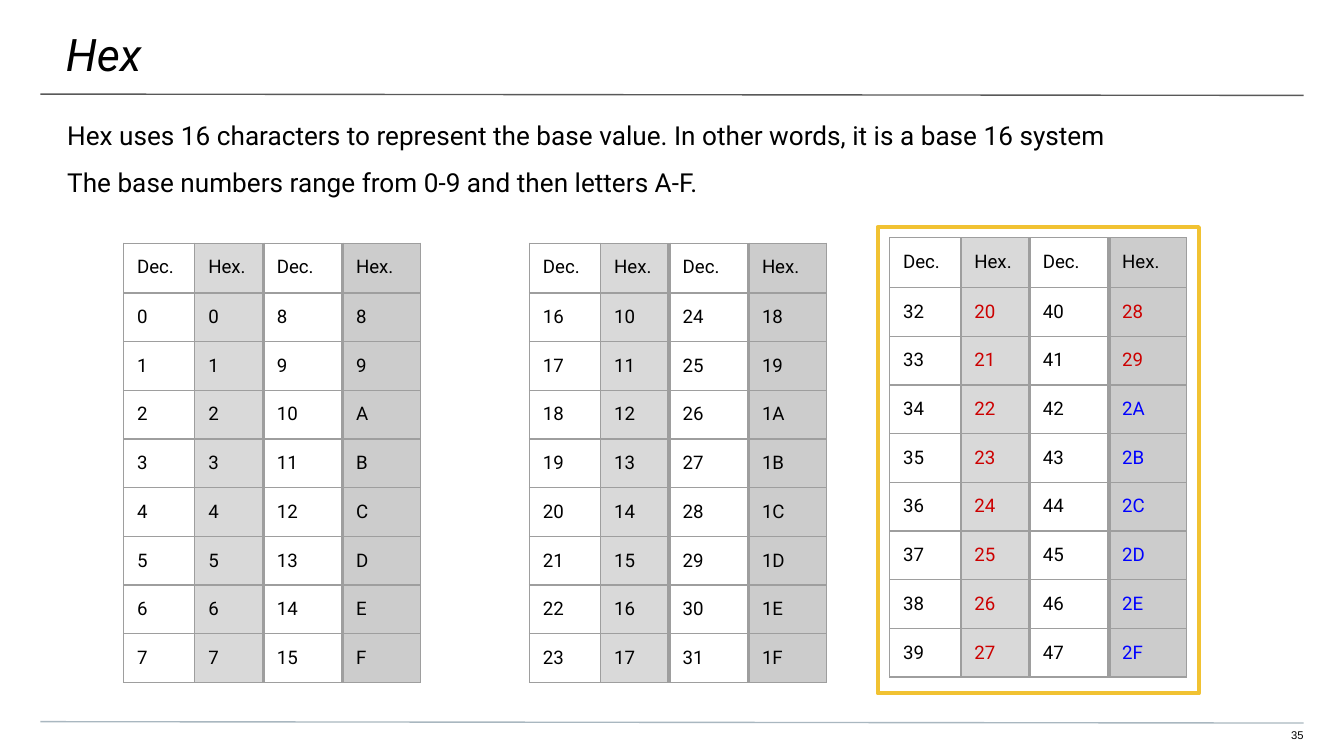
import pptx
import pptx.dml.color
import pptx.enum.shapes
import pptx.enum.text
import pptx.oxml
import pptx.util
from pptx.util import Inches

COLORS = {"text": "000000", "rule": "595959", "footer rule": "A9B7C0",
          "border": "9E9E9E", "light": "D9D9D9", "dark": "CCCCCC",
          "digit": "CC0000", "letter": "0000FF", "frame": "F1C232"}
NAMESPACE = 'xmlns:a="http://schemas.openxmlformats.org/drawingml/2006/main"'


def color(name):
    return pptx.dml.color.RGBColor.from_string(COLORS[name])


def write(frame, lines, margins, size, font="Roboto", ink="text", **paragraph_format):
    """Fill a text frame with plain, unbulleted lines; margins run left, top, right, bottom."""
    frame_format = {"word_wrap": True, "auto_size": pptx.enum.text.MSO_AUTO_SIZE.NONE,
                    "vertical_anchor": pptx.enum.text.MSO_ANCHOR.TOP}
    for side, margin in zip(("left", "top", "right", "bottom"), margins):
        frame_format[f"margin_{side}"] = Inches(margin)
    for key, value in frame_format.items():
        setattr(frame, key, value)
    for index, line in enumerate(lines):
        para = frame.paragraphs[0] if index == 0 else frame.add_paragraph()
        properties = para._p.get_or_add_pPr()
        properties.set("marL", "0")
        properties.set("indent", "0")
        properties.append(pptx.oxml.parse_xml(f"<a:buNone {NAMESPACE}/>"))
        gap = pptx.util.Pt(8 if index else 0)
        spacing = {"space_before": gap, "space_after": gap,
                   "alignment": pptx.enum.text.PP_ALIGN.LEFT}
        for key, value in (spacing | paragraph_format).items():
            setattr(para, key, value)
        span = para.add_run()
        span.text = line
        span.font.name = font
        span.font.size = pptx.util.Pt(size)
        span.font.color.rgb = color(ink)


deck = pptx.Presentation()
deck.slide_width, deck.slide_height = Inches(10), Inches(10 * 9 / 16)
page = deck.slides.add_slide(deck.slide_layouts[1])
title, body = page.placeholders

# Rules under the title and above the page number
for top, name in ((0.7, "rule"), (5.37, "footer rule")):
    rule = page.shapes.add_connector(pptx.enum.shapes.MSO_CONNECTOR.STRAIGHT,
                                     Inches(0.3), Inches(top), Inches(9.7), Inches(top + 0.01))
    rule.line.color.rgb = color(name)
    rule.line.width = pptx.util.Pt(0.75)
    rule._element.spPr.append(pptx.oxml.parse_xml(f"<a:effectLst {NAMESPACE}/>"))

# Title, introduction and page number
number = page.shapes.add_textbox(0, 0, 0, 0)
for box, place in ((title, (-0.01, 0, 10.03, 0.58)), (body, (0, 0.89, 10, 1.21)),
                   (number, (9.41, 5.42, 0.29, 0.12))):
    box.left, box.top, box.width, box.height = map(Inches, place)
write(title.text_frame, ["Hex"], (0.5, 0.2, 0.3, 0.1), 24)
title.text_frame.paragraphs[0].runs[0].font.italic = True
write(body.text_frame,
      ["Hex uses 16 characters to represent the base value. In other words, it is a base 16 system",
       "The base numbers range from 0-9 and then letters A-F."], (0.5, 0, 0.5, 1), 14)
write(number.text_frame, ["35"], (0, 0, 0, 0.1), 6, "Arial",
      alignment=pptx.enum.text.PP_ALIGN.RIGHT)

# Conversion tables: sixteen numbers each, eight to a pair of columns
column_widths = (0.53, 0.51, 0.59, 0.58)
column_fills = (None, "light", None, "dark")
thick_borders = ((1, "R"), (2, "L"), (3, "L"))
for first, left, top, highlighted in ((0, 0.92, 1.81, False), (16, 3.94, 1.81, False),
                                      (32, 6.62, 1.77, True)):
    rows = [["Dec.", "Hex."] * 2]
    for low in range(first, first + 8):
        rows.append([str(low), f"{low:X}", str(low + 8), f"{low + 8:X}"])
    table = page.shapes.add_table(9, 4, Inches(left), Inches(top),
                                  Inches(sum(column_widths)), Inches(3.28)).table
    table.first_row = table.horz_banding = False
    for column, width in zip(table.columns, column_widths):
        column.width = Inches(width)
    for row_index, texts in enumerate(rows):
        table.rows[row_index].height = Inches(0.33 if row_index else 0.37)
        for column_index, text in enumerate(texts):
            cell = table.cell(row_index, column_index)
            ink = "text"
            if highlighted and row_index and column_index % 2:
                ink = "digit" if text.isdigit() else "letter"
            span = cell.text_frame.paragraphs[0].add_run()
            span.text = text
            span.font.name = "Roboto"
            span.font.size = pptx.util.Pt(10)
            span.font.color.rgb = color(ink)
            for side in ("left", "top", "right", "bottom"):
                setattr(cell, f"margin_{side}", Inches(0.1))
            properties = cell._tc.get_or_add_tcPr()
            for side in "LRTB":
                width = pptx.util.Pt(2.25 if (column_index, side) in thick_borders else 0.75)
                properties.append(pptx.oxml.parse_xml(
                    f'<a:ln{side} {NAMESPACE} w="{width}"><a:solidFill>'
                    f'<a:srgbClr val="{COLORS["border"]}"/></a:solidFill></a:ln{side}>'))
            if column_fills[column_index]:
                cell.fill.solid()
                cell.fill.fore_color.rgb = color(column_fills[column_index])
            else:
                cell.fill.background()

# Frame around the last table
highlight = page.shapes.add_shape(pptx.enum.shapes.MSO_SHAPE.RECTANGLE, Inches(6.53),
                                  Inches(1.69), Inches(2.39), Inches(3.47))
highlight.shadow.inherit = False
highlight.fill.background()
highlight.line.color.rgb = color("frame")
highlight.line.width = pptx.util.Pt(2.25)

deck.save("out.pptx")
